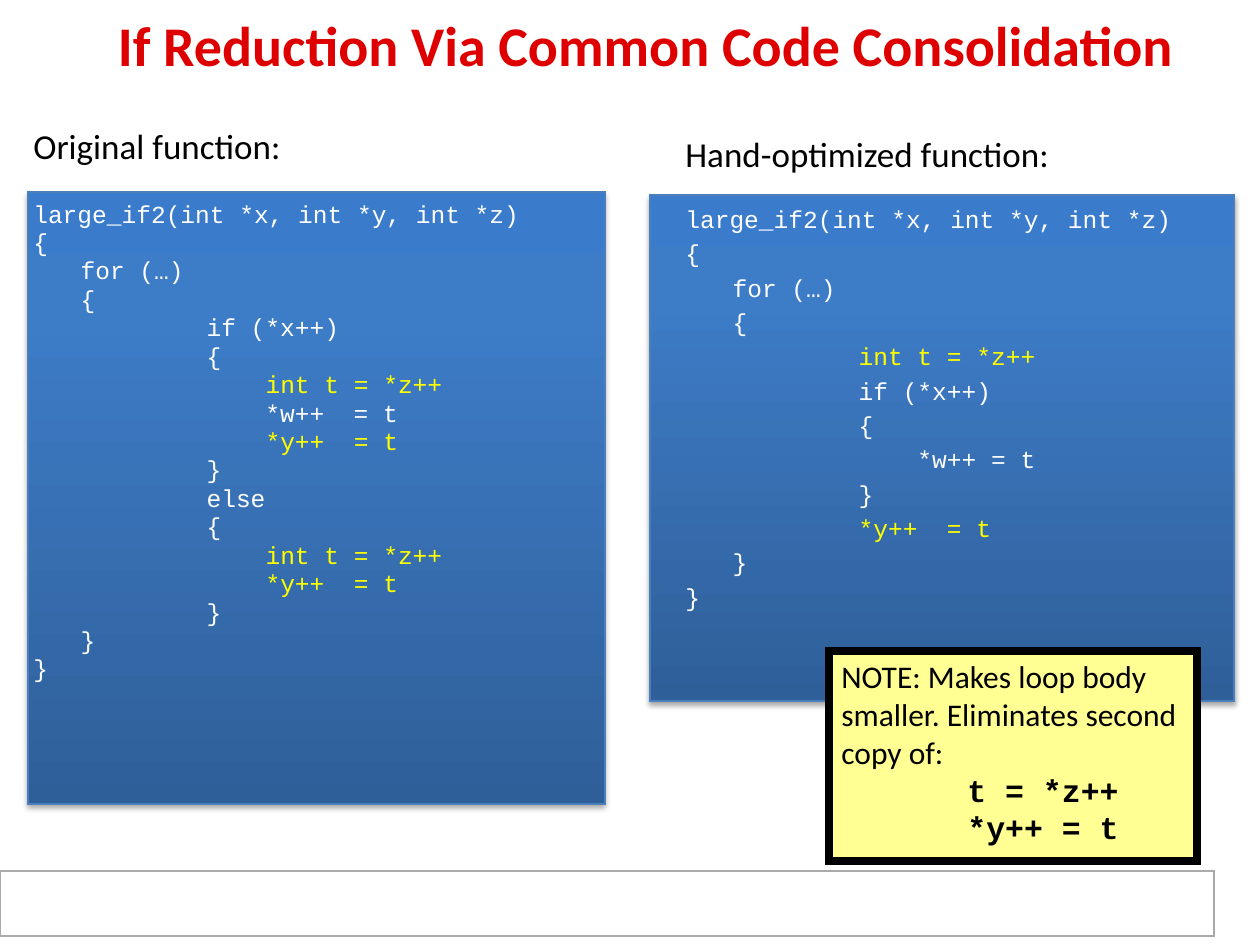
import copy

import lxml.etree
import pptx
import pptx.dml.color
import pptx.enum.shapes
import pptx.enum.text
import pptx.oxml
import pptx.oxml.ns
import pptx.util

PX = 914400 / 126
COLORS = {
    "white": "FFFFFF", "black": "000000", "title": "DE0000", "shared": "FFFF00",
    "note": "FFFF93", "footer_line": "AAAAAA", "panel_line": "4B7EBC",
    "panel_bottom": "2F5F99", "panel_middle": "3D7CC7", "panel_top": "3A7CCB",
}
PANEL_STOPS = [(0, "panel_bottom"), (0.8, "panel_middle"), (1, "panel_top")]
TITLE_FONT = {"name": "Calibri", "size": pptx.util.Pt(32), "bold": True}
HEADING_FONT = {"name": "Calibri", "size": pptx.util.Pt(20)}
CODE_FONT = {"name": "Courier New", "size": pptx.util.Pt(14)}
NOTE_FONT = {"name": "Calibri", "size": pptx.util.Pt(18)}
NOTE_CODE_FONT = {"name": "Courier New", "size": pptx.util.Pt(18), "bold": True}
SHARED_LINES = ("int t = *z++", "*y++  = t")
TAB_FORMAT = {"defTabSz": "914400"}
CODE_FORMAT = {"marL": "342900", "indent": "-342900", **TAB_FORMAT}

ORIGINAL_CODE = """large_if2(int *x, int *y, int *z)
{
\tfor (…)
\t{
\t\tif (*x++)
\t\t{
\t\t    int t = *z++
\t\t    *w++  = t
\t\t    *y++  = t
\t\t}
\t\telse
\t\t{
\t\t    int t = *z++
\t\t    *y++  = t
\t\t}
\t}
}"""

OPTIMIZED_CODE = """large_if2(int *x, int *y, int *z)
{
\tfor (…)
\t{
\t\tint t = *z++
\t\tif (*x++)
\t\t{
\t\t    *w++ = t
\t\t}
\t\t*y++  = t
\t}
}"""


def px(value):
    return round(value * PX)


def rgb(name):
    return pptx.dml.color.RGBColor.from_string(COLORS[name])


def set_values(target, values):
    for name, value in values.items():
        setattr(target, name, value)


def set_paragraph_format(paragraph, values):
    properties = paragraph._p.get_or_add_pPr()
    for name, value in values.items():
        properties.set(name, value)


def add_rectangle(slide, box, line, width, fill=None):
    kind = pptx.enum.shapes.MSO_SHAPE.RECTANGLE
    shape = slide.shapes.add_shape(kind, *map(px, box))
    shape.shadow.inherit = False
    if fill:
        shape.fill.solid()
        shape.fill.fore_color.rgb = rgb(fill)
    shape.line.color.rgb = rgb(line)
    shape.line.width = pptx.util.Pt(width)
    outline = shape._element.spPr.find(pptx.oxml.ns.qn("a:ln"))
    lxml.etree.SubElement(outline, pptx.oxml.ns.qn("a:miter"), lim="800000")
    return shape


def add_panel(slide, box):
    shape = add_rectangle(slide, box, "panel_line", 0.75)
    shape.fill.gradient()
    shape.fill.gradient_angle = 90
    properties = shape._element.spPr
    stop_list = properties.find(".//" + pptx.oxml.ns.qn("a:gsLst"))
    stop_list.append(copy.deepcopy(stop_list[0]))
    for stop, (position, color) in zip(shape.fill.gradient_stops, PANEL_STOPS):
        stop.position = position
        stop.color.rgb = rgb(color)
    effects = properties.find(pptx.oxml.ns.qn("a:effectLst"))
    effects.append(pptx.oxml.parse_xml(
        f'<a:outerShdw {pptx.oxml.ns.nsdecls("a")} blurRad="39370" dist="22860" '
        f'dir="5400000" rotWithShape="0"><a:srgbClr val="{COLORS["black"]}">'
        '<a:alpha val="35000"/></a:srgbClr></a:outerShdw>'))


def add_text_box(slide, box):
    frame = slide.shapes.add_textbox(*map(px, box)).text_frame
    frame.word_wrap = True
    return frame


def add_run(paragraph, text, font, color):
    run = paragraph.add_run()
    run.text = text
    set_values(run.font, font)
    run.font.color.rgb = rgb(color)


def add_code_line(paragraph, line):
    code = line.lstrip()
    if code in SHARED_LINES:
        add_run(paragraph, line[:-len(code)], CODE_FONT, "white")
        add_run(paragraph, code, CODE_FONT, "shared")
    else:
        add_run(paragraph, line, CODE_FONT, "white")


def add_listing(slide, box, heading, code, line_spacing, first_gap, line_gap):
    frame = add_text_box(slide, box)
    paragraph = frame.paragraphs[0]
    paragraph.line_spacing = line_spacing
    add_run(paragraph, heading, HEADING_FONT, "black")
    for index, line in enumerate(code.splitlines()):
        paragraph = frame.add_paragraph()
        set_values(paragraph, {
            "line_spacing": line_spacing,
            "space_before": pptx.util.Pt(line_gap if index else first_gap),
        })
        set_paragraph_format(paragraph, CODE_FORMAT)
        add_code_line(paragraph, line)


def add_title(slide, box, text):
    frame = add_text_box(slide, box)
    frame.vertical_anchor = pptx.enum.text.MSO_ANCHOR.MIDDLE
    paragraph = frame.paragraphs[0]
    paragraph.alignment = pptx.enum.text.PP_ALIGN.CENTER
    add_run(paragraph, text, TITLE_FONT, "title")


def add_note(slide, box, text, code_lines):
    frame = add_rectangle(slide, box, "black", 4.5, "note").text_frame
    set_values(frame, {
        "word_wrap": True,
        "vertical_anchor": pptx.enum.text.MSO_ANCHOR.TOP,
    })
    paragraph = frame.paragraphs[0]
    paragraph.alignment = pptx.enum.text.PP_ALIGN.LEFT
    add_run(paragraph, text, NOTE_FONT, "black")
    for line in code_lines:
        paragraph = frame.add_paragraph()
        paragraph.alignment = pptx.enum.text.PP_ALIGN.LEFT
        set_paragraph_format(paragraph, TAB_FORMAT)
        add_run(paragraph, "\t" + line, NOTE_CODE_FONT, "black")


def main():
    presentation = pptx.Presentation()
    set_values(presentation, {"slide_width": px(1260), "slide_height": px(945)})
    slide = presentation.slides.add_slide(presentation.slide_layouts[6])

    add_rectangle(slide, (0, 871, 1214, 65), "footer_line", 0.75, "white")
    add_panel(slide, (650, 195, 584, 506))
    add_panel(slide, (28, 192, 577, 612))
    add_title(slide, (54, 0, 1184, 88), "If Reduction Via Common Code Consolidation")
    add_listing(slide, (21, 126, 593, 756), "Original function:",
                ORIGINAL_CODE, 0.8, 22, 2.8)
    add_listing(slide, (673, 126, 587, 577), "Hand-optimized function:",
                OPTIMIZED_CODE, 1.0, 17, 2.8)
    add_note(slide, (829, 651, 368, 210),
             "NOTE: Makes loop body smaller. Eliminates second copy of:",
             ("t = *z++", "*y++ = t"))

    presentation.save("out.pptx")


if __name__ == "__main__":
    main()
